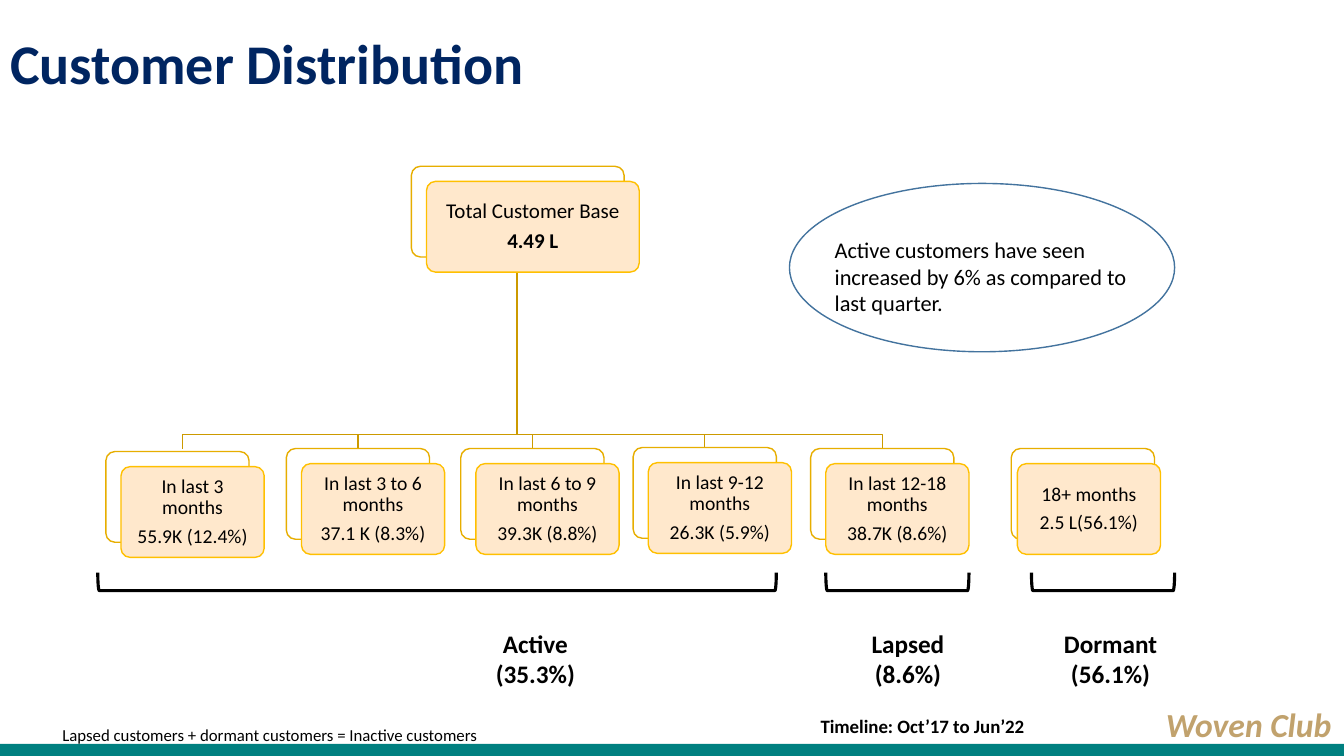
from dataclasses import dataclass
from pptx import Presentation
from pptx.dml.color import RGBColor
from pptx.enum.shapes import MSO_SHAPE
from pptx.enum.text import MSO_ANCHOR, MSO_AUTO_SIZE, PP_ALIGN
from pptx.util import Inches, Pt


@dataclass(frozen=True)
class Theme:
    font: str = "Calibri"
    ink: str = "000000"
    navy: str = "002561"
    teal: str = "008080"
    tan: str = "C1A26D"
    white: str = "FFFFFF"
    cream: str = "FFE8CC"
    gold: str = "FFC000"
    amber: str = "E7AE00"
    stem: str = "CC9A00"
    blue: str = "43739E"
    title: float = 40
    brand: float = 24
    group: float = 18
    quote: float = 16
    total: float = 15
    card: float = 14
    date: float = 13.5
    note: float = 12


@dataclass(frozen=True)
class Card:
    left: float
    top: float
    label: str
    value: str
    stem: float | None = None
    shift: float = 0.15
    width: float = 1.42
    size: float = Theme.card
    bold: bool = False


@dataclass(frozen=True)
class Group:
    left: float
    width: float
    name: str
    share: str
    text_left: float
    text_width: float


@dataclass(frozen=True)
class Note:
    box: tuple
    text: str
    size: float
    color: str = Theme.ink
    bold: bool = False
    slant: bool = False
    align: PP_ALIGN = PP_ALIGN.LEFT
    anchor: MSO_ANCHOR = MSO_ANCHOR.TOP


T = Theme()
TALL = 0.9
TRUNK, ROOT_END, BAR, STEM_END = 5.13, 2.55, 4.31, 4.45

ROOT = Card(4.08, 1.65, "Total Customer Base", "4.49 L", width=2.11,
            size=T.total, bold=True)
CARDS = [
    Card(1.05, 4.48, "In last 3 months", "55.9K (12.4%)", 1.81),
    Card(2.84, 4.45, "In last 3 to 6 months", "37.1 K (8.3%)", 3.55),
    Card(4.57, 4.45, "In last 6 to 9 months", "39.3K (8.8%)", 5.28),
    Card(6.28, 4.44, "In last 9-12 months", "26.3K (5.9%)", 6.99),
    Card(8.04, 4.45, "In last 12-18 months", "38.7K (8.6%)", 8.75),
    Card(10.03, 4.45, "18+ months", "2.5 L(56.1%)", shift=0.06),
]
GROUPS = [
    Group(0.97, 6.73, "Active", "(35.3%)", 4.75, 1.12),
    Group(8.19, 1.42, "Lapsed", "(8.6%)", 8.3, 1.41),
    Group(10.23, 1.42, "Dormant", "(56.1%)", 10.38, 1.27),
]
NOTES = [
    Note((8.04, 7.04, 3.44, 0.33), "Timeline: Oct’17 to Jun’22", T.date, bold=True),
    Note((0.52, 7.14, 4.44, 0.3),
         "Lapsed customers + dormant customers = Inactive customers", T.note),
    Note((11.43, 6.98, 1.91, 0.4), "Woven Club", T.brand, T.tan, True, True,
         PP_ALIGN.CENTER, MSO_ANCHOR.MIDDLE),
    Note((8.18, 2.29, 3.24, 0.91),
         "Active customers have seen increased by 6% as compared to last quarter.",
         T.quote),
]


def add_run(para, text: str, size: float, color: str = T.ink,
            bold: bool = False, slant: bool = False) -> None:
    run = para.add_run()
    run.text = text
    font = run.font
    font.name, font.size = T.font, Pt(size)
    font.bold, font.italic = bold, slant
    font.color.rgb = RGBColor.from_string(color)


def style(shape, fill: str | None, line: str | None, width: float = 1) -> None:
    shape.shadow.inherit = False
    if fill:
        shape.fill.solid()
        shape.fill.fore_color.rgb = RGBColor.from_string(fill)
    else:
        shape.fill.background()
    if line:
        shape.line.color.rgb = RGBColor.from_string(line)
        shape.line.width = Pt(width)
    else:
        shape.line.fill.background()


def add_form(slide, kind: MSO_SHAPE, box: tuple, fill: str | None,
             line: str | None, width: float = 1):
    shape = slide.shapes.add_shape(kind, *map(Inches, box))
    style(shape, fill, line, width)
    return shape


def add_note(slide, note: Note) -> None:
    frame = slide.shapes.add_textbox(*map(Inches, note.box)).text_frame
    frame.word_wrap = True
    frame.vertical_anchor = note.anchor
    para = frame.paragraphs[0]
    para.alignment = note.align
    add_run(para, note.text, note.size, note.color, note.bold, note.slant)


def add_card(slide, card: Card) -> None:
    box = (card.left, card.top, card.width, TALL)
    back = add_form(slide, MSO_SHAPE.ROUNDED_RECTANGLE, box, T.white, T.amber)
    box = (card.left + card.shift, card.top + 0.15, card.width, TALL)
    front = add_form(slide, MSO_SHAPE.ROUNDED_RECTANGLE, box, T.cream, T.gold)
    back.adjustments[0] = front.adjustments[0] = 0.1

    frame = front.text_frame
    frame.word_wrap = True
    frame.vertical_anchor = MSO_ANCHOR.MIDDLE
    frame.margin_left = frame.margin_right = Inches(0.09)
    frame.margin_top = frame.margin_bottom = Inches(0.08)
    label, value = frame.paragraphs[0], frame.add_paragraph()
    for para in (label, value):
        para.alignment = PP_ALIGN.CENTER
        para.line_spacing = 0.9
    value.space_before = Pt(5)
    add_run(label, card.label, card.size)
    add_run(value, card.value, card.size, bold=card.bold)


def add_stem(slide, end: float) -> None:
    turns = [(TRUNK, ROOT_END), (TRUNK, BAR), (end, BAR), (end, STEM_END)]
    first, *rest = [(Inches(x), Inches(y)) for x, y in turns]
    pen = slide.shapes.build_freeform(*first)
    pen.add_line_segments(rest, close=False)
    style(pen.convert_to_shape(), None, T.stem)


def add_group(slide, group: Group) -> None:
    # A left bracket turned to open upward keeps its centre
    deep, mid = 0.18, 5.77
    box = (group.left + (group.width - deep) / 2, mid - group.width / 2,
           deep, group.width)
    mark = add_form(slide, MSO_SHAPE.LEFT_BRACKET, box, None, T.ink, 2.25)
    mark.rotation = 270
    add_note(slide, Note((group.text_left, 6.18, group.text_width, 0.71),
                         f"{group.name} {group.share}", T.group, bold=True,
                         align=PP_ALIGN.CENTER))


def main() -> None:
    deck = Presentation()
    deck.slide_width, deck.slide_height = Inches(13.33), Inches(7.5)
    slide = deck.slides.add_slide(deck.slide_layouts[5])

    # Title and base band
    title = slide.shapes.title
    title.left, title.top, title.width, title.height = map(Inches, (0, 0, 8.2, 1.31))
    frame = title.text_frame
    frame.auto_size = MSO_AUTO_SIZE.NONE
    frame.vertical_anchor = MSO_ANCHOR.MIDDLE
    para = frame.paragraphs[0]
    para.alignment, para.line_spacing = PP_ALIGN.LEFT, 0.9
    add_run(para, "Customer Distribution", T.title, T.navy, bold=True)
    add_form(slide, MSO_SHAPE.RECTANGLE, (0, 7.38, 13.33, 0.12), T.teal, None)

    # Customer tree
    for card in CARDS:
        if card.stem:
            add_stem(slide, card.stem)
    for card in [ROOT, *CARDS]:
        add_card(slide, card)

    # Brackets with group shares
    for group in GROUPS:
        add_group(slide, group)

    # Callout and notes
    add_form(slide, MSO_SHAPE.OVAL, (7.83, 1.82, 3.82, 1.67), None, T.blue)
    for note in NOTES:
        add_note(slide, note)
    deck.save("out.pptx")


if __name__ == "__main__":
    main()
